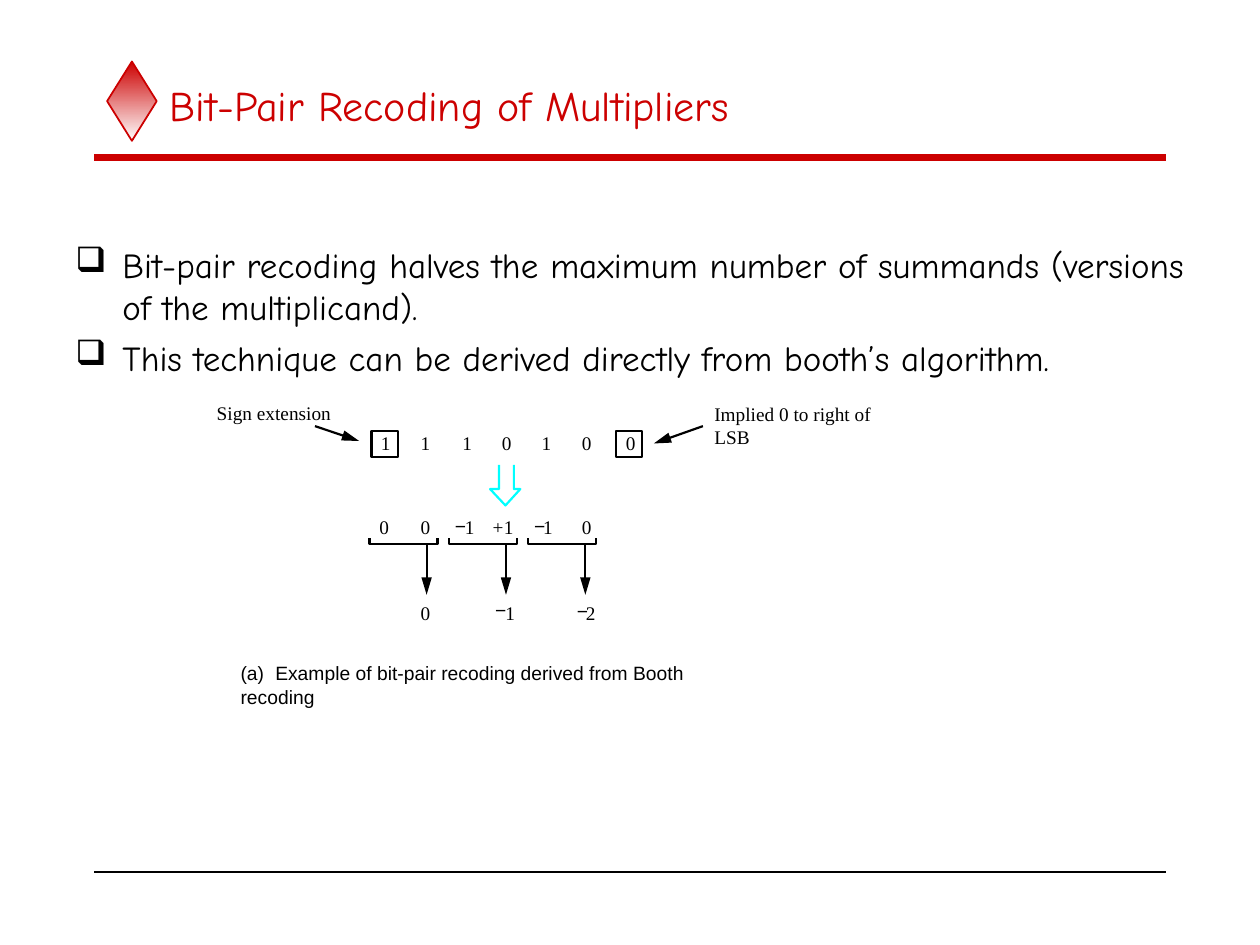
from lxml.etree import SubElement
from pptx import Presentation
from pptx.dml.color import RGBColor
from pptx.enum.shapes import MSO_CONNECTOR, MSO_SHAPE
from pptx.enum.text import MSO_ANCHOR, MSO_AUTO_SIZE, PP_ALIGN
from pptx.oxml.ns import qn
from pptx.util import Cm, Pt

COLORS = {"red": "CC0000", "black": "000000", "cyan": "00FFFF", "white": "FFFFFF"}
SERIF, SANS, COMIC = "Times New Roman", "Arial", "Comic Neue"

deck = Presentation()
deck.slide_width, deck.slide_height = Cm(25.4), Cm(19.05)
page = deck.slides.add_slide(deck.slide_layouts[5])
shapes = page.shapes


def add_text(text, left, top, width=0.19, height=0.46, font=SERIF, tab=None):
    """Add a one-line label that grows with its text."""
    box = shapes.add_textbox(Cm(left), Cm(top), Cm(width), Cm(height))
    frame = box.text_frame
    frame.margin_left = frame.margin_right = frame.margin_top = frame.margin_bottom = 0
    frame.word_wrap = False
    frame.auto_size = MSO_AUTO_SIZE.SHAPE_TO_FIT_TEXT
    para = frame.paragraphs[0]
    if tab:
        stops = SubElement(para._p.get_or_add_pPr(), qn("a:tabLst"))
        SubElement(stops, qn("a:tab"), pos=str(Cm(tab)), algn="l")
    span = para.add_run()
    span.text = text
    span.font.name, span.font.size = font, Pt(11)
    span.font.color.rgb = RGBColor.from_string(COLORS["black"])


def add_line(points, color="black", weight=1.25, arrow=False):
    """Draw a connector through two points, or an open outline through more."""
    points = [(Cm(x), Cm(y)) for x, y in points]
    if len(points) == 2:
        line = shapes.add_connector(MSO_CONNECTOR.STRAIGHT, *points[0], *points[1])
    else:
        builder = shapes.build_freeform(*points[0])
        builder.add_line_segments(points[1:], close=False)
        line = builder.convert_to_shape()
        line.fill.background()
    line.line.color.rgb = RGBColor.from_string(COLORS[color])
    line.line.width = Pt(weight)
    if arrow:
        SubElement(line.line._get_or_add_ln(), qn("a:tailEnd"), type="triangle", w="med", len="lg")
    SubElement(line._element.spPr, qn("a:effectLst"))


# Title with its diamond, and the two rules of the page
diamond = shapes.add_shape(MSO_SHAPE.DIAMOND, Cm(2.16), Cm(1.24), Cm(1), Cm(1.6))
diamond.shadow.inherit = False
diamond.fill.gradient()
diamond.fill.gradient_angle = 270
for stop, color, position in zip(diamond.fill.gradient_stops, ("red", "white"), (0, 1)):
    stop.color.rgb = RGBColor.from_string(COLORS[color])
    stop.position = position
diamond.line.color.rgb = RGBColor.from_string(COLORS["red"])
diamond.line.width = Pt(1)
add_line([(1.9, 3.17), (23.5, 3.17)], color="red", weight=4)
add_line([(1.9, 17.58), (23.5, 17.58)], weight=1)

title = shapes.title
title.left, title.top, title.width, title.height = Cm(3.17), Cm(1.27), Cm(20.32), Cm(1.7)
title.text_frame.text = "Bit-Pair Recoding of Multipliers"
title.text_frame.auto_size = MSO_AUTO_SIZE.NONE
title.text_frame.vertical_anchor = MSO_ANCHOR.MIDDLE
para = title.text_frame.paragraphs[0]
para.alignment = PP_ALIGN.LEFT
para.font.name, para.font.size = COMIC, Pt(24)
para.font.color.rgb = RGBColor.from_string(COLORS["red"])

# Bulleted statements
body = shapes.add_textbox(Cm(1.27), Cm(4.78), Cm(22.86), Cm(3.28))
body.text_frame.word_wrap = True
statements = [
    "Bit-pair recoding halves the maximum number of summands (versions of the multiplicand).",
    "This technique can be derived directly from booth’s algorithm.",
]
for index, statement in enumerate(statements):
    para = body.text_frame.add_paragraph() if index else body.text_frame.paragraphs[0]
    properties = para._p.get_or_add_pPr()
    properties.set("marL", str(Cm(0.95)))
    properties.set("indent", str(-Cm(0.95)))
    bullet_color = SubElement(properties, qn("a:buClr"))
    SubElement(bullet_color, qn("a:srgbClr"), val=COLORS["black"])
    SubElement(properties, qn("a:buChar"), char="❑")
    para.alignment = PP_ALIGN.JUSTIFY
    if index:
        para.space_before = Pt(5)
    span = para.add_run()
    span.text = statement
    span.font.name, span.font.size = COMIC, Pt(20)
    span.font.color.rgb = RGBColor.from_string(COLORS["black"])

# Multiplier bits, with the sign extension and the implied zero boxed
columns = [7.68, 8.48, 9.32, 10.12, 10.92, 11.73, 12.62]
for bit, left in zip("1110100", columns):
    add_text(bit, left, 8.69)
for left in (7.49, 12.42):
    frame_box = shapes.add_shape(MSO_SHAPE.RECTANGLE, Cm(left), Cm(8.69), Cm(0.53), Cm(0.53))
    frame_box.shadow.inherit = False
    frame_box.fill.background()
    frame_box.line.color.rgb = RGBColor.from_string(COLORS["black"])
    frame_box.line.width = Pt(1.25)
add_text("Sign extension", 4.37, 8.08, width=2.31)
add_text("Implied 0 to right of LSB", 14.4, 8.1, width=3.96)
add_line([(6.35, 8.59), (7.24, 8.89)], arrow=True)
add_line([(14.17, 8.59), (13.18, 8.94)], arrow=True)

# Open block arrow down to the Booth digits
add_line([(10.36, 9.37), (10.36, 9.86), (10.49, 9.86), (10.19, 10.19),
          (9.88, 9.86), (10.06, 9.86), (10.06, 9.37)], color="cyan")

# Booth digits and, below them, the recoded pairs
for digit, left in zip("001110", (7.65, 8.48, 9.37, 10.16, 10.95, 11.73)):
    add_text(digit, left, 10.39)
add_text("+", 9.93, 10.39, width=0.22)
for digit, left in zip("012", (8.48, 10.19, 11.81)):
    add_text(digit, left, 12.12)
for left, top in ((9.17, 10.36), (10.77, 10.36), (9.98, 12.07), (11.63, 12.09)):
    add_text("−", left, top, width=0.13, font=SANS)

# A bracket and an arrow for each pair
for pair in range(3):
    left = 7.45 + 1.6 * pair
    right, middle = left + 1.37, left + 1.15
    add_line([(right, 10.85), (right, 10.97), (left, 10.97), (left, 10.85)])
    add_line([(middle, 10.97), (middle, 11.99)], arrow=True)

# Caption
add_text("(a)\tExample of bit-pair recoding derived from Booth recoding",
         4.85, 13.34, width=10.54, font=SANS, tab=0.7)

deck.save("out.pptx")
